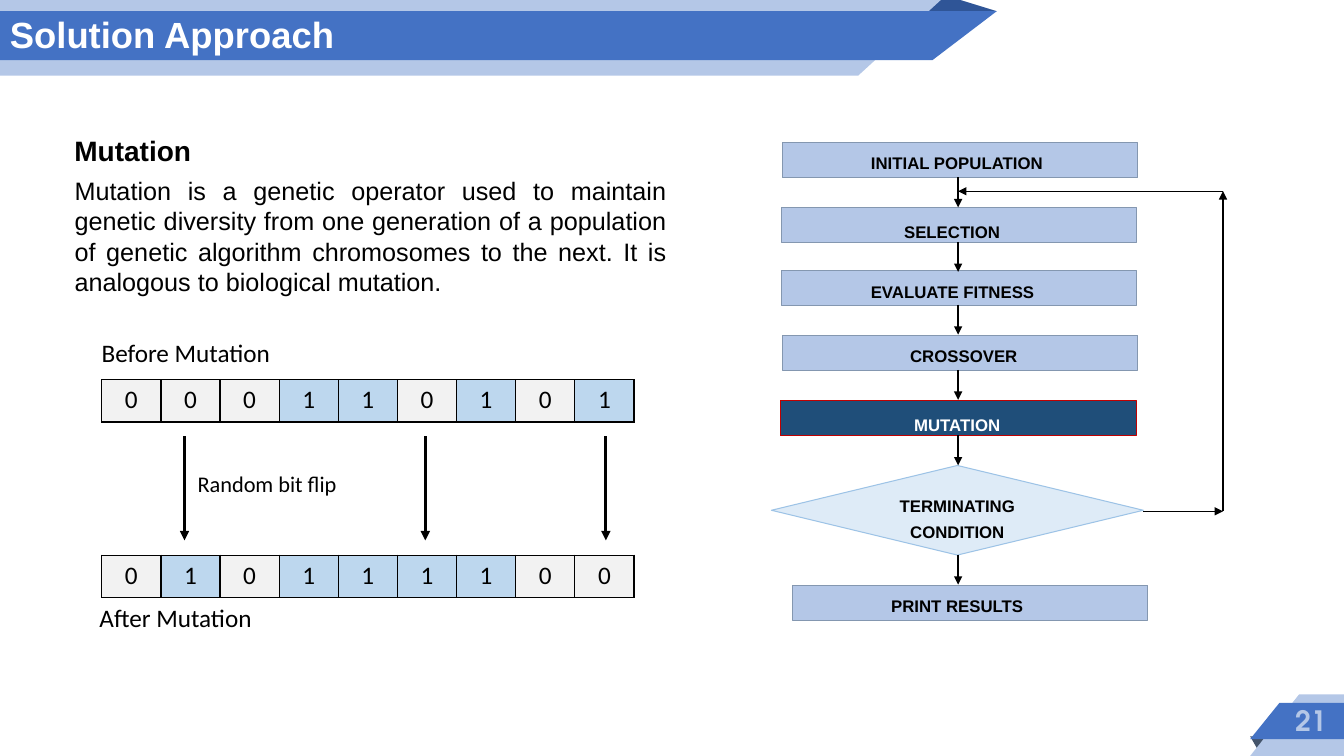
from lxml import etree
from pptx import Presentation
from pptx.dml.color import RGBColor
from pptx.enum import shapes as kinds, text as layout
from pptx.oxml.ns import qn
from pptx.util import Pt

BLACK = RGBColor(0x00, 0x00, 0x00)
WHITE = RGBColor(0xFF, 0xFF, 0xFF)
BLUE = RGBColor(0x44, 0x72, 0xC4)
DARK_BLUE = RGBColor(0x2F, 0x55, 0x97)
LIGHT_BLUE = RGBColor(0xB4, 0xC7, 0xE7)
SLATE = RGBColor(0x44, 0x54, 0x6A)
STEP_LINE = RGBColor(0x84, 0x97, 0xB0)
ACTIVE_FILL = RGBColor(0x1F, 0x4E, 0x79)
ACTIVE_LINE = RGBColor(0xC0, 0x00, 0x00)
TEST_FILL = RGBColor(0xDE, 0xEB, 0xF7)
TEST_LINE = RGBColor(0x9D, 0xC3, 0xE6)
BIT_FILLS = {"0": RGBColor(0xF2, 0xF2, 0xF2), "1": RGBColor(0xBD, 0xD7, 0xEE)}

ALIGN = layout.PP_ALIGN
STEP_WIDTH, STEP_HEIGHT = 254, 25
FLOW_X = 684.4
LOOP_X, LOOP_TOP, LOOP_BOTTOM = 873.6, 136.6, 365.2
BIT_WIDTH, BIT_HEIGHT = 42.24, 30.3


def set_font(paragraph, size, color=BLACK, name="Arial", bold=False):
    font = paragraph.font
    font.size, font.name, font.bold = Pt(size), name, bold
    font.color.rgb = color


def add_polygon(slide, points, color):
    builder = slide.shapes.build_freeform(*points[0], scale=Pt(1))
    builder.add_line_segments(points[1:], close=True)
    polygon = builder.convert_to_shape()
    polygon.shadow.inherit = False
    polygon.fill.solid()
    polygon.fill.fore_color.rgb = color
    polygon.line.fill.background()


def add_label(slide, words, box, size, wrap=True, align=ALIGN.LEFT, **font):
    label = slide.shapes.add_textbox(*map(Pt, box))
    frame = label.text_frame
    frame.word_wrap = wrap
    frame.text = words
    frame.paragraphs[0].alignment = align
    set_font(frame.paragraphs[0], size, **font)


def add_flow_shape(slide, kind, box, fill, line):
    """Add an outlined flowchart shape without inner margins."""
    shape = slide.shapes.add_shape(kind, *map(Pt, box))
    shape.shadow.inherit = False
    shape.fill.solid()
    shape.fill.fore_color.rgb = fill
    shape.line.color.rgb = line
    shape.line.width = Pt(0.75)
    frame = shape.text_frame
    frame.margin_left = frame.margin_right = 0
    frame.margin_top = frame.margin_bottom = 0
    frame.vertical_anchor = layout.MSO_ANCHOR.TOP
    return frame


def add_step(slide, words, left, top, indent, drop, fill=LIGHT_BLUE,
             line=STEP_LINE, color=BLACK):
    """Add a process step; indent and drop place its words inside the box."""
    frame = add_flow_shape(slide, kinds.MSO_SHAPE.RECTANGLE,
                           (left, top, STEP_WIDTH, STEP_HEIGHT), fill, line)
    frame.margin_left, frame.margin_top = Pt(indent), Pt(drop)
    frame.text = words
    paragraph = frame.paragraphs[0]
    paragraph.alignment = ALIGN.LEFT
    paragraph.line_spacing = 1.5
    set_font(paragraph, 12, color, bold=True)


def add_condition(slide, words, box):
    frame = add_flow_shape(slide, kinds.MSO_SHAPE.DIAMOND, box,
                           TEST_FILL, TEST_LINE)
    frame.margin_top = Pt(1.5)
    frame.text = words
    for paragraph in frame.paragraphs:
        paragraph.alignment = ALIGN.CENTER
        paragraph.line_spacing = Pt(18.5)
        set_font(paragraph, 12, bold=True)


def add_arrow(slide, start, end, width=1):
    arrow = slide.shapes.add_connector(kinds.MSO_CONNECTOR.STRAIGHT,
                                       *map(Pt, start + end))
    arrow.line.color.rgb = BLACK
    arrow.line.width = Pt(width)
    etree.SubElement(arrow.line._get_or_add_ln(), qn("a:tailEnd"),
                     type="triangle")
    etree.SubElement(arrow._element.spPr, qn("a:effectLst"))


def add_cell_borders(cell):
    properties = cell._tc.get_or_add_tcPr()
    for side in ("a:lnL", "a:lnR", "a:lnT", "a:lnB"):
        border = etree.SubElement(properties, qn(side), w=str(Pt(1)))
        solid = etree.SubElement(border, qn("a:solidFill"))
        etree.SubElement(solid, qn("a:srgbClr"), val=str(BLACK))


def add_chromosome(slide, bits, top):
    """Add a one-row table with one cell for each bit."""
    table = slide.shapes.add_table(
        1, len(bits), Pt(72.7), Pt(top),
        Pt(BIT_WIDTH * len(bits)), Pt(BIT_HEIGHT)).table
    table.first_row = table.horz_banding = False
    for column, bit in enumerate(bits):
        table.columns[column].width = Pt(BIT_WIDTH)
        cell = table.cell(0, column)
        add_cell_borders(cell)
        cell.fill.solid()
        cell.fill.fore_color.rgb = BIT_FILLS[bit]
        cell.text = bit
        paragraph = cell.text_frame.paragraphs[0]
        paragraph.alignment = ALIGN.CENTER
        set_font(paragraph, 18, name="Calibri")


def add_banner(slide):
    add_polygon(slide, [(659.5, 8), (669.6, 0), (686, 0), (712, 8)], DARK_BLUE)
    add_polygon(slide, [(0, 0), (671.8, 0), (613.4, 54), (0, 54)], LIGHT_BLUE)
    add_polygon(slide, [(0, 8), (712, 8), (666, 42.6), (0, 42.6)], BLUE)
    add_label(slide, "Solution Approach", (0, 5, 248, 39), 26,
              wrap=False, color=WHITE, bold=True)


def add_page_corner(slide):
    add_polygon(slide, [(893, 526.3), (918, 526.3), (908.6, 540),
                        (901.4, 540)], SLATE)
    add_polygon(slide, [(928.4, 496), (960, 496), (960, 540), (893, 540)],
                LIGHT_BLUE)
    add_polygon(slide, [(913.7, 502.4), (960, 502.4), (960, 527.6),
                        (893, 527.6)], BLUE)
    add_label(slide, "21", (918, 499, 37.4, 31.7), 20, wrap=False,
              color=LIGHT_BLUE, name="TeX Gyre Adventor", bold=True)


def add_mutation_example(slide):
    add_label(slide, "Mutation", (46, 91.5, 439, 31.5), 20, bold=True)
    add_label(slide, "Mutation is a genetic operator used to maintain genetic "
              "diversity from one generation of a population of genetic "
              "algorithm chromosomes to the next. It is analogous to "
              "biological mutation.",
              (46.2, 121.8, 437, 94.5), 18, align=ALIGN.JUSTIFY)
    add_chromosome(slide, "000110101", 271.2)
    add_chromosome(slide, "010111100", 396.6)
    for flip_x in (131.8, 303.8, 432.8):
        add_arrow(slide, (flip_x, 311.8), (flip_x, 386), 2.25)
    for words, box, size in (
            ("Before Mutation", (65.5, 237.6, 141, 29), 18),
            ("After Mutation", (64, 427, 128, 29), 18),
            ("Random bit flip", (134, 332, 131, 26.6), 16)):
        add_label(slide, words, box, size, name="Calibri")


def add_flowchart(slide):
    add_step(slide, "INITIAL POPULATION", 558.7, 102, 63.4, 0)
    add_step(slide, "SELECTION", 558, 148.2, 87.8, 3)
    add_step(slide, "EVALUATE FITNESS", 558, 193.2, 64, 1.2)
    add_step(slide, "CROSSOVER", 558.7, 239.4, 91.4, 0)
    add_step(slide, "MUTATION", 557.5, 286.4, 95.5, 2.3,
             ACTIVE_FILL, ACTIVE_LINE, WHITE)
    add_step(slide, "PRINT RESULTS", 566, 418, 70.5, 0)
    add_condition(slide, "TERMINATING\nCONDITION", (551, 332.5, 265.7, 64))
    for top in (126.7, 172.8, 217.6, 264.2, 311, 396.2):
        add_arrow(slide, (FLOW_X, top), (FLOW_X, top + 21.4))
    loop = [(816.7, LOOP_BOTTOM), (LOOP_X, LOOP_BOTTOM),
            (LOOP_X, LOOP_TOP), (FLOW_X, LOOP_TOP)]
    for start, end in zip(loop, loop[1:]):
        add_arrow(slide, start, end)


def main():
    deck = Presentation()
    deck.slide_width, deck.slide_height = Pt(960), Pt(540)
    slide = deck.slides.add_slide(deck.slide_layouts[6])
    add_banner(slide)
    add_page_corner(slide)
    add_mutation_example(slide)
    add_flowchart(slide)
    deck.save("out.pptx")


if __name__ == "__main__":
    main()
